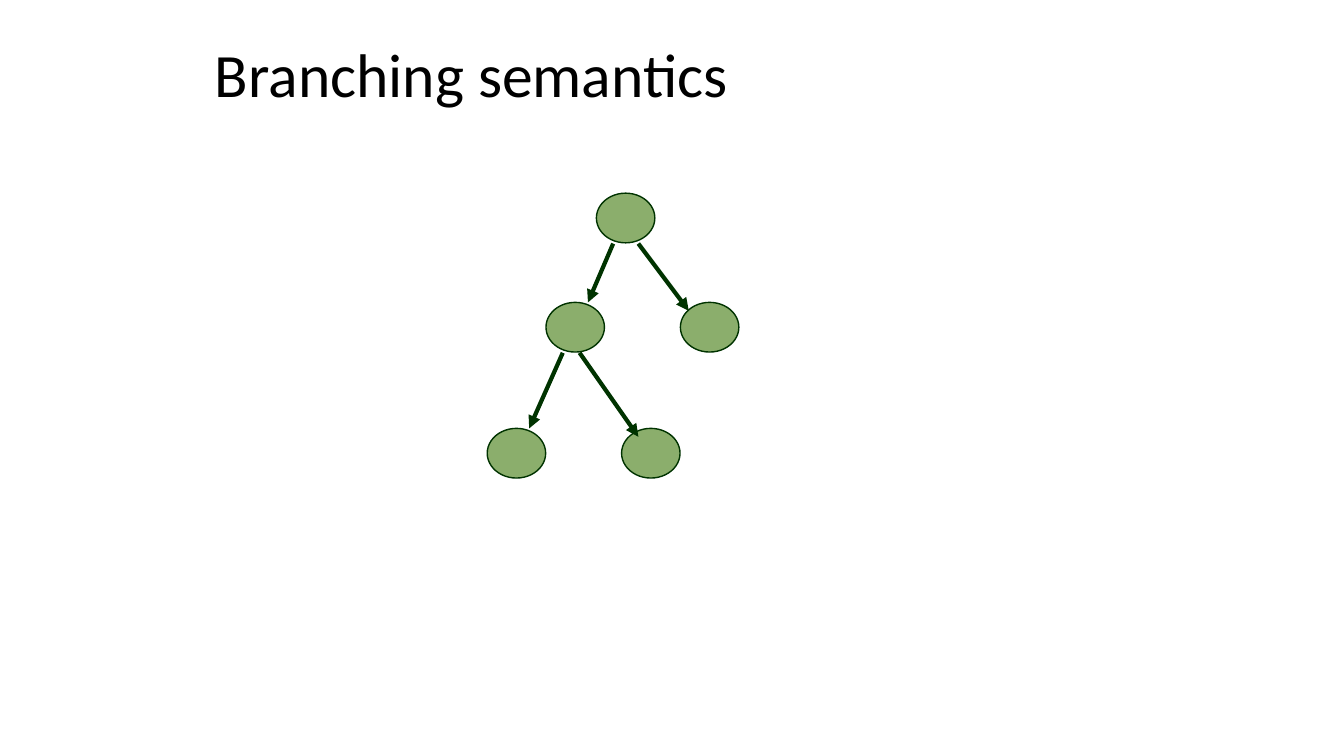
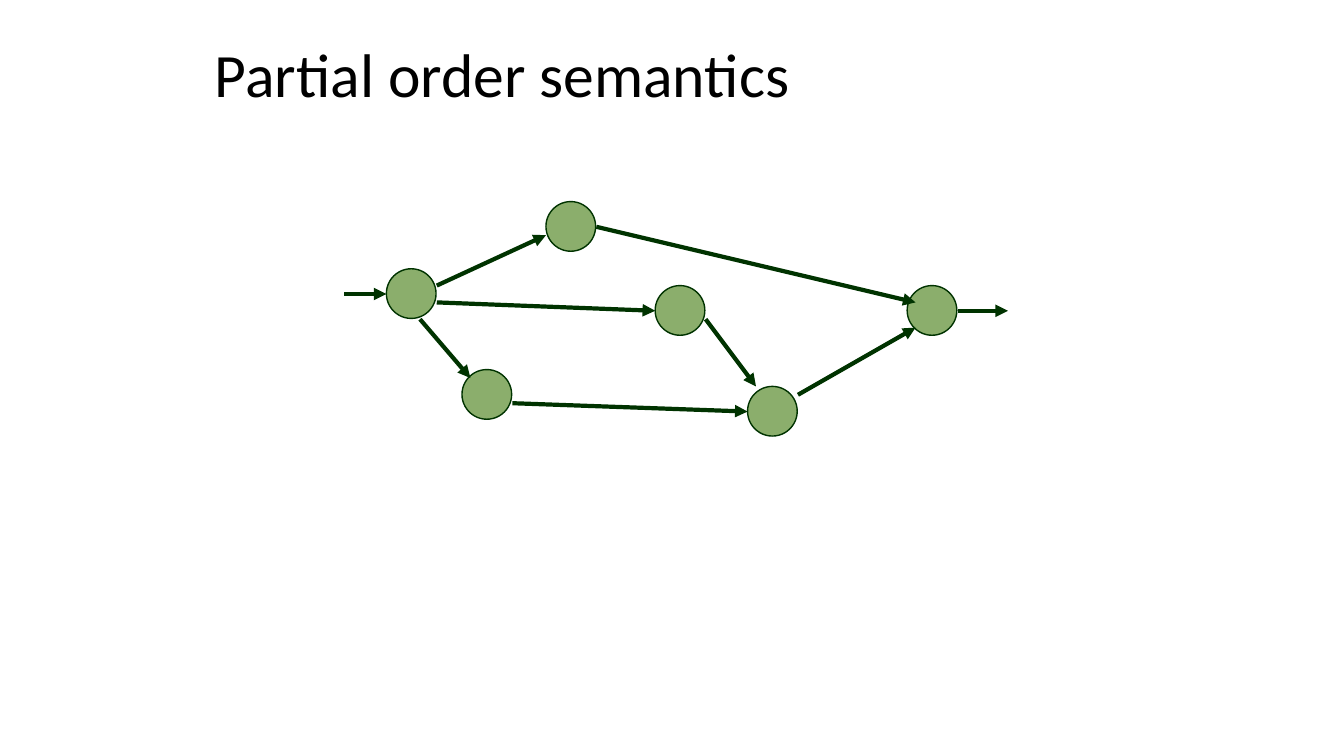
from dataclasses import dataclass

from lxml import etree
from pptx import Presentation
from pptx.dml.color import RGBColor
from pptx.enum.shapes import MSO_CONNECTOR, MSO_SHAPE
from pptx.enum.text import MSO_ANCHOR, MSO_AUTO_SIZE, PP_ALIGN
from pptx.oxml.ns import qn
from pptx.util import Pt

OVAL = MSO_SHAPE.OVAL
STRAIGHT = MSO_CONNECTOR.STRAIGHT
MIDDLE = MSO_ANCHOR.MIDDLE
NO_AUTOFIT = MSO_AUTO_SIZE.NONE
LEFT = PP_ALIGN.LEFT
TITLE_ONLY = 5


@dataclass(frozen=True)
class Theme:
    font: str = "Calibri"
    title_size: float = 44
    ink: RGBColor = RGBColor(0x00, 0x00, 0x00)
    paper: RGBColor = RGBColor(0xFF, 0xFF, 0xFF)
    node: RGBColor = RGBColor(0x8B, 0xAE, 0x6C)
    edge: RGBColor = RGBColor(0x00, 0x33, 0x00)
    outline_width: float = 1
    arrow_width: float = 3


theme = Theme()


def write(frame, text, size, color, align=LEFT, anchor=MIDDLE, before=0, spacing=1):
    frame.word_wrap = True
    frame.auto_size = NO_AUTOFIT
    frame.vertical_anchor = anchor
    frame.margin_left = frame.margin_right = Pt(1.5)
    frame.margin_top = frame.margin_bottom = Pt(3.6)
    paragraph = frame.paragraphs[0]
    paragraph.alignment = align
    paragraph.space_before = Pt(before)
    paragraph.line_spacing = spacing
    run = paragraph.add_run()
    run.text = text
    run.font.name = theme.font
    run.font.size = Pt(size)
    run.font.color.rgb = color


def add_arrow(slide, start, end):
    arrow = slide.shapes.add_connector(STRAIGHT, *map(Pt, start + end))
    arrow.line.color.rgb = theme.edge
    arrow.line.width = Pt(theme.arrow_width)
    head = etree.SubElement(arrow.line._get_or_add_ln(), qn("a:tailEnd"))
    head.set("type", "triangle")
    etree.SubElement(arrow._element.spPr, qn("a:effectLst"))


# Graphs: node corners on a 6 pt grid, arrows as start and end points
graphs = [
    {
        "title": "Branching semantics",
        "node_size": (41.75, 35.5),
        "nodes": [(426, 138), (486, 216), (390, 216), (444, 306), (348, 306)],
        "arrows": [
            ((438, 174), (420, 216)),
            ((456, 174), (492, 222)),
            ((402, 252), (378, 306)),
            ((414, 252), (456, 312)),
        ],
    },
    {
        "title": "Partial order semantics",
        "node_size": (35.5, 35.5),
        "nodes": [(276, 192), (330, 264), (390, 144), (468, 204), (534, 276), (648, 204)],
        "arrows": [
            ((300, 228), (336, 270)),
            ((366, 288), (534, 294)),
            ((312, 204), (390, 168)),
            ((426, 162), (654, 216)),
            ((312, 216), (468, 222)),
            ((504, 228), (540, 276)),
            ((570, 282), (654, 234)),
            ((246, 210), (276, 210)),
            ((684, 222), (720, 222)),
        ],
    },
]

deck = Presentation()
deck.slide_width, deck.slide_height = Pt(960), Pt(540)

# Shared background
background = deck.slide_master.background.fill
background.solid()
background.fore_color.rgb = theme.paper

for graph in graphs:
    slide = deck.slides.add_slide(deck.slide_layouts[TITLE_ONLY])

    # Title
    title = slide.shapes.title
    title.left, title.top, title.width, title.height = map(Pt, (152, 10.8, 611.3, 89.3))
    write(title.text_frame, graph["title"], size=theme.title_size,
          color=theme.ink, before=5.1, spacing=0.9)

    # Nodes
    for corner in graph["nodes"]:
        node = slide.shapes.add_shape(OVAL, *map(Pt, corner + graph["node_size"]))
        node.shadow.inherit = False
        node.fill.solid()
        node.fill.fore_color.rgb = theme.node
        node.line.color.rgb = theme.edge
        node.line.width = Pt(theme.outline_width)

    # Arrows
    for start, end in graph["arrows"]:
        add_arrow(slide, start, end)

deck.save("out.pptx")
